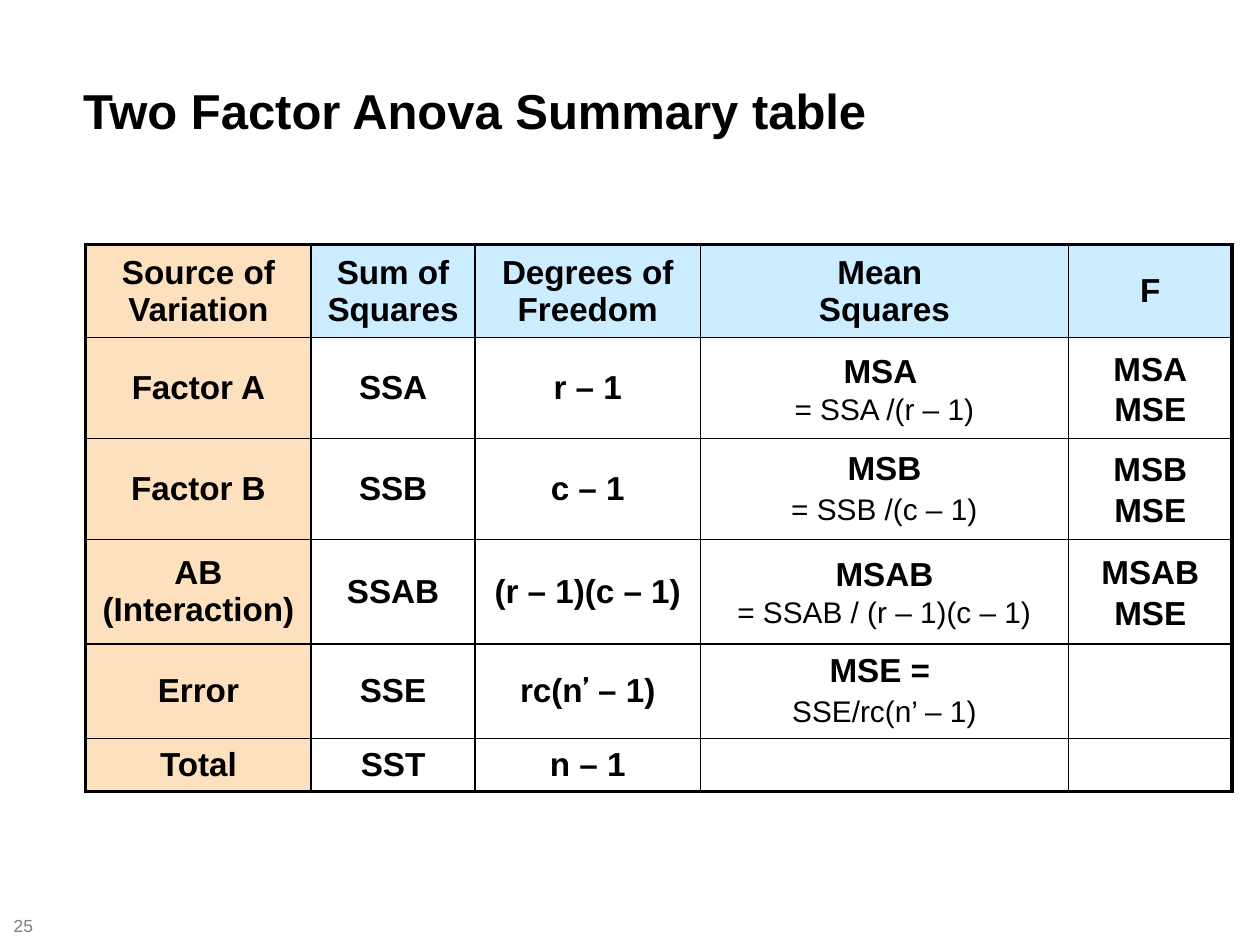
from dataclasses import dataclass

from lxml import etree
from pptx import Presentation
from pptx import util as u
from pptx.dml.color import RGBColor
from pptx.enum import text
from pptx.oxml.ns import qn

BLACK = RGBColor(0x00, 0x00, 0x00)
GRAY = RGBColor(0x7F, 0x7F, 0x7F)
PEACH = RGBColor(0xFD, 0xE0, 0xBD)
PALE_BLUE = RGBColor(0xCC, 0xEC, 0xFF)

SLIDE_WIDTH = u.Inches(10)
SLIDE_HEIGHT = u.Inches(7.5)
THIN, THICK = 1, 2.25
MEAN_SQUARES, F_RATIO = 3, 4


@dataclass(frozen=True)
class Box:
    """Position and size as percentages of the slide."""
    left: float
    top: float
    width: float
    height: float

    def lengths(self) -> tuple[int, int, int, int]:
        return (int(SLIDE_WIDTH * self.left / 100), int(SLIDE_HEIGHT * self.top / 100),
                int(SLIDE_WIDTH * self.width / 100), int(SLIDE_HEIGHT * self.height / 100))


@dataclass(frozen=True)
class Row:
    height: float
    cells: tuple[str, str, str, str, str]


TITLE_BOX = Box(5.6, 7.87, 70.1, 7.6)
NUMBER_BOX = Box(0.1, 96.93, 3.9, 2.13)
TABLE_BOX = Box(6.8, 25.87, 91, 57.87)
COLUMN_WIDTHS = (1.79, 1.3, 1.79, 2.92, 1.3)
ROWS = (
    Row(0.74, ("Source of\vVariation", "Sum of\vSquares", "Degrees of Freedom",
               "Mean \vSquares", "F")),
    Row(0.8, ("Factor A", "SSA", "r – 1", "MSA \v= SSA /(r – 1)", "MSA\vMSE")),
    Row(0.8, ("Factor B", "SSB", "c – 1", "MSB\n= SSB /(c – 1)", "MSB\vMSE")),
    Row(0.83, ("AB\v(Interaction)", "SSAB", "(r – 1)(c – 1)",
               "MSAB\v= SSAB / (r – 1)(c – 1)", "MSAB\vMSE")),
    Row(0.75, ("Error", "SSE", "rc(n", "MSE = \nSSE/rc(n’ – 1)", "")),
    Row(0.42, ("Total", "SST", "n – 1", "", "")),
)


def format_run(run, size: float, bold: bool = True, color=BLACK, name: str = "Arial") -> None:
    run.font.name = name
    run.font.size = u.Pt(size)
    run.font.bold = bold
    run.font.color.rgb = color


def set_space_before(paragraph, percent: int) -> None:
    paragraph.space_before = u.Pt(0)
    space = paragraph._p.pPr.find(qn("a:spcBef"))
    space.clear()
    etree.SubElement(space, qn("a:spcPct"), val=str(percent * 1000))


def set_borders(cell, row: int, column: int) -> None:
    outer_sides = {
        "lnL": column == 0,
        "lnR": column == len(COLUMN_WIDTHS) - 1,
        "lnT": row == 0,
        "lnB": row == len(ROWS) - 1,
    }
    properties = cell._tc.get_or_add_tcPr()
    for side, outer in outer_sides.items():
        width = u.Pt(THICK if outer else THIN)
        line = etree.SubElement(properties, qn(f"a:{side}"), w=str(int(width)))
        fill = etree.SubElement(line, qn("a:solidFill"))
        etree.SubElement(fill, qn("a:srgbClr"), val=str(BLACK))


def fill_cell(cell, row: int, column: int) -> None:
    if column == 0 or row == 0:
        cell.fill.solid()
        cell.fill.fore_color.rgb = PEACH if column == 0 else PALE_BLUE
    else:
        cell.fill.background()


def write_cell(cell, content: str, row: int, column: int) -> None:
    cell.vertical_anchor = text.MSO_ANCHOR.MIDDLE
    cell.text_frame.text = content
    for paragraph in cell.text_frame.paragraphs:
        paragraph.alignment = text.PP_ALIGN.CENTER
        if row > 0 and column in (MEAN_SQUARES, F_RATIO) and "\v" in content:
            paragraph.line_spacing = 1.1
        set_space_before(paragraph, 20)
        for run in paragraph.runs:
            format_run(run, 19)
    if row > 0 and column == MEAN_SQUARES and content:
        format_run(cell.text_frame.paragraphs[-1].runs[-1], 17, bold=False)


def add_summary_table(slide) -> None:
    table = slide.shapes.add_table(len(ROWS), len(COLUMN_WIDTHS), *TABLE_BOX.lengths()).table
    table.first_row = False
    table.horz_banding = False
    for column, width in zip(table.columns, COLUMN_WIDTHS):
        column.width = u.Inches(width)
    for row_index, row in enumerate(ROWS):
        table.rows[row_index].height = u.Inches(row.height)
        for column_index, content in enumerate(row.cells):
            cell = table.cell(row_index, column_index)
            write_cell(cell, content, row_index, column_index)
            set_borders(cell, row_index, column_index)
            fill_cell(cell, row_index, column_index)

    error_freedom = table.cell(4, 2).text_frame.paragraphs[0]
    for content, font_name in (("’", "Cabin"), (" – 1)", "Arial")):
        run = error_freedom.add_run()
        run.text = content
        format_run(run, 19, name=font_name)


def add_title(slide) -> None:
    title = slide.shapes.title
    title.left, title.top, title.width, title.height = TITLE_BOX.lengths()
    frame = title.text_frame
    frame.text = "Two Factor Anova Summary table"
    frame.vertical_anchor = text.MSO_ANCHOR.TOP
    frame.auto_size = text.MSO_AUTO_SIZE.NONE
    frame.paragraphs[0].alignment = text.PP_ALIGN.LEFT
    format_run(frame.paragraphs[0].runs[0], 28)


def add_slide_number(slide) -> None:
    frame = slide.shapes.add_textbox(*NUMBER_BOX.lengths()).text_frame
    frame.text = "25"
    frame.word_wrap = True
    frame.vertical_anchor = text.MSO_ANCHOR.MIDDLE
    format_run(frame.paragraphs[0].runs[0], 10, bold=False, color=GRAY)


def main() -> None:
    presentation = Presentation()
    presentation.slide_width = SLIDE_WIDTH
    presentation.slide_height = SLIDE_HEIGHT
    slide = presentation.slides.add_slide(presentation.slide_layouts[5])
    add_slide_number(slide)
    add_title(slide)
    add_summary_table(slide)
    presentation.save("out.pptx")


if __name__ == "__main__":
    main()
